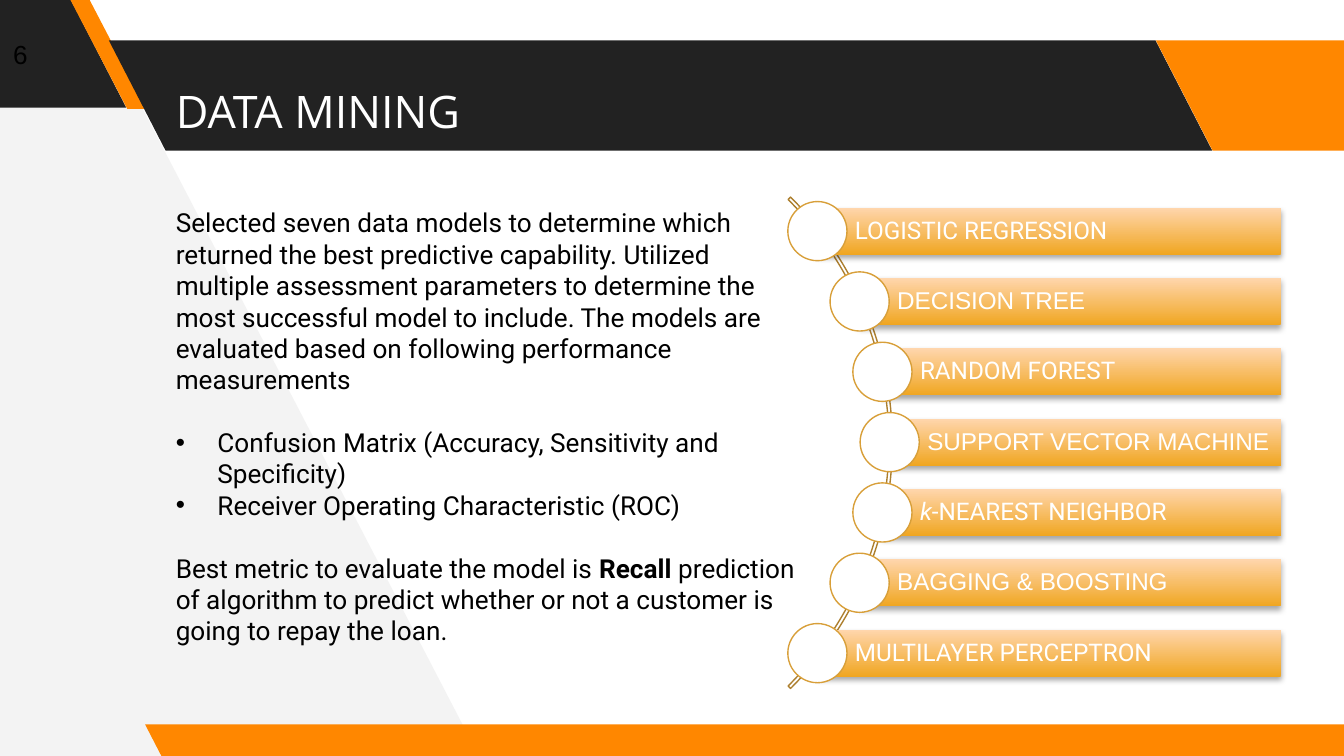
import math
from dataclasses import dataclass

import pptx
import pptx.dml.color
import pptx.enum.shapes
import pptx.enum.text
import pptx.oxml
import pptx.oxml.ns
import pptx.util

Inches = pptx.util.Inches
Pt = pptx.util.Pt
SHAPE = pptx.enum.shapes.MSO_SHAPE
ANCHOR = pptx.enum.text.MSO_ANCHOR

COLORS = {
    "white": "FFFFFF", "black": "000000", "dark": "222222", "orange": "FF8700",
    "pale": "F3F3F3", "bar_low": "F0A621", "bar_high": "FFD6AD",
    "ring": "D89F39", "arc": "AD7F2E",
}
NS = 'xmlns:a="http://schemas.openxmlformats.org/drawingml/2006/main"'
SHADOW = (f'<a:effectLst {NS}><a:outerShdw blurRad="39370" dist="22860" dir="5400000" '
          'rotWithShape="0"><a:srgbClr val="000000"><a:alpha val="35000"/></a:srgbClr>'
          '</a:outerShdw></a:effectLst>')


@dataclass
class Band:
    """A slanted band of the frame."""
    left: float
    top: float
    width: float
    height: float
    slant: float
    color: str


@dataclass
class Model:
    """A data model in the curved list; prefix is set in italics."""
    name: str
    font: str
    prefix: str = ""


BANDS = [
    Band(-0.99, -0.02, 1.93, 0.82, 0.515, "dark"),
    Band(0.52, -0.01, 0.57, 0.82, 0.75, "orange"),
    Band(0.81, 0.3, 8.21, 0.82, 0.515, "dark"),
    Band(8.6, 0.3, 1.92, 0.82, 0.515, "orange"),
    Band(1.08, 5.39, 9.15, 0.25, 0.515, "orange"),
]
MODELS = [
    Model("LOGISTIC REGRESSION", "Roboto"),
    Model("DECISION TREE", "Arial"),
    Model("RANDOM FOREST", "Roboto"),
    Model("SUPPORT VECTOR MACHINE", "Arial"),
    Model("-NEAREST NEIGHBOR", "Roboto", prefix="k"),
    Model("BAGGING & BOOSTING", "Arial"),
    Model("MULTILAYER PERCEPTRON", "Roboto"),
]
ARC_X, ARC_Y, ARC_R = 4.06, 3.29, 2.56
PITCH, BAR_H, BAR_RIGHT, DOT = 3.14 / 6, 0.35, 9.53, 0.44


def rgb(name: str) -> pptx.dml.color.RGBColor:
    """Return a named colour."""
    return pptx.dml.color.RGBColor.from_string(COLORS[name])


def paint(sp, fill: str = "", line: str = "") -> None:
    """Set the fill and outline of a shape."""
    if fill:
        sp.fill.solid()
        sp.fill.fore_color.rgb = rgb(fill)
    else:
        sp.fill.background()
    if line:
        sp.line.color.rgb = rgb(line)
        sp.line.width = Pt(0.75)
    else:
        sp.line.fill.background()


def add_shape(slide, kind, left: float, top: float, width: float, height: float,
              fill: str = "", line: str = ""):
    """Add a preset shape without shadow; an empty colour means none."""
    sp = slide.shapes.add_shape(kind, Inches(left), Inches(top), Inches(width), Inches(height))
    sp.shadow.inherit = False
    paint(sp, fill, line)
    return sp


def add_run(p, text: str, *, size: float = 14, font: str = "Roboto", color: str = "black",
            bold: bool = False, italic: bool = False) -> None:
    """Append formatted text to a paragraph."""
    r = p.add_run()
    r.text = text
    r.font.size = Pt(size)
    r.font.name = font
    r.font.bold = bold
    r.font.italic = italic
    r.font.color.rgb = rgb(color)


def set_frame(tf, anchor, left: float = 0.1, other: float = 0.05, right: float = 0.1) -> None:
    """Set wrapping, anchor and insets of a text frame."""
    tf.word_wrap = True
    tf.vertical_anchor = anchor
    tf.margin_left, tf.margin_right = Inches(left), Inches(right)
    tf.margin_top = tf.margin_bottom = Inches(other)


def add_text(slide, left: float, top: float, width: float, height: float, anchor,
             inset: float = 0.05):
    """Add an empty text box and return its frame."""
    sp = slide.shapes.add_textbox(Inches(left), Inches(top), Inches(width), Inches(height))
    set_frame(sp.text_frame, anchor, other=inset)
    return sp.text_frame


def make_bullet(p) -> None:
    """Give a paragraph a hanging bullet."""
    pPr = p._p.get_or_add_pPr()
    pPr.set("marL", str(Inches(0.31)))
    pPr.set("indent", str(-Inches(0.31)))
    pPr.append(pptx.oxml.parse_xml(f'<a:buFont {NS} typeface="Arial"/>'))
    pPr.append(pptx.oxml.parse_xml(f'<a:buChar {NS} char="•"/>'))


def draw_frame(slide) -> None:
    """Draw the pale wedge and the slanted bands."""
    fb = slide.shapes.build_freeform(Inches(3.56), Inches(5.62), scale=1.0)
    corners = [(0.62, -0.04), (-0.06, -0.04), (-0.02, 5.66)]
    fb.add_line_segments([(Inches(x), Inches(y)) for x, y in corners], close=True)
    wedge = fb.convert_to_shape()
    wedge.shadow.inherit = False
    paint(wedge, "pale")
    for b in BANDS:
        sp = add_shape(slide, SHAPE.PARALLELOGRAM, b.left, b.top, b.width, b.height, b.color)
        sp.adjustments[0] = b.slant
        sp._element.spPr.xfrm.set("flipH", "1")


def draw_body(slide) -> None:
    """Write the explanation with its bullets."""
    tf = add_text(slide, 1.21, 1.49, 4.93, 3.4, ANCHOR.TOP)
    paragraphs = [
        (["Selected seven data models to determine which returned the best predictive "
          "capability. Utilized "], False, 0),
        (["multiple assessment parameters to determine the most successful model to include. "
          "The models are evaluated based on following performance measurements"], False, 0),
        (["Confusion Matrix (Accuracy, Sensitivity and Specificity)"], True, 16.8),
        (["Receiver Operating Characteristic (ROC)"], True, 0),
        (["Best metric to evaluate the model is ", "Recall ",
          "prediction of algorithm to predict whether or not a customer is going to repay "
          "the loan."], False, 16.8),
    ]
    for i, (texts, bullet, gap) in enumerate(paragraphs):
        p = tf.add_paragraph() if i else tf.paragraphs[0]
        p.space_before = Pt(gap)
        if bullet:
            make_bullet(p)
        for text in texts:
            add_run(p, text, bold=text == "Recall ")


def draw_model(slide, model: Model, offset: float) -> None:
    """Draw one bar and its circle, offset vertically from the arc centre."""
    x = ARC_X + math.sqrt(ARC_R ** 2 - offset ** 2)
    y = ARC_Y + offset
    bar = add_shape(slide, SHAPE.RECTANGLE, x, y - BAR_H / 2, BAR_RIGHT - x, BAR_H)
    bar.fill.gradient()
    bar.fill.gradient_angle = 90
    for stop, color in zip(bar.fill.gradient_stops, ("bar_low", "bar_high")):
        stop.color.rgb = rgb(color)
    spPr = bar._element.spPr
    spPr.remove(spPr.find(pptx.oxml.ns.qn("a:effectLst")))
    spPr.append(pptx.oxml.parse_xml(SHADOW))
    set_frame(bar.text_frame, ANCHOR.MIDDLE, left=0.28, other=0.04, right=0.04)
    p = bar.text_frame.paragraphs[0]
    p.alignment = pptx.enum.text.PP_ALIGN.LEFT
    p.line_spacing = 0.9
    if model.prefix:
        add_run(p, model.prefix, size=13, font=model.font, color="white", italic=True)
    add_run(p, model.name, size=13, font=model.font, color="white")
    add_shape(slide, SHAPE.OVAL, x - DOT / 2, y - DOT / 2, DOT, DOT, "white", "ring")


def main() -> None:
    """Build and save the slide."""
    prs = pptx.Presentation()
    prs.slide_width = Inches(10)
    prs.slide_height = prs.slide_width * 9 // 16
    slide = prs.slides.add_slide(prs.slide_layouts[6])
    draw_frame(slide)
    number = add_text(slide, 0, 0.19, 0.6, 0.42, ANCHOR.MIDDLE)
    add_run(number.paragraphs[0], "6", font="Arial")
    title = add_text(slide, 1.21, 0.3, 7.35, 0.82, ANCHOR.BOTTOM, inset=0.1)
    add_run(title.paragraphs[0], "DATA MINING", size=24, font="Open Sans", color="white")
    draw_body(slide)
    arc = add_shape(slide, SHAPE.BLOCK_ARC, 1.47, 0.71, 5.17, 5.17, line="arc")
    for i, value in enumerate((189, 27, 0.005)):
        arc.adjustments[i] = value
    for i, model in enumerate(MODELS):
        draw_model(slide, model, (i - (len(MODELS) - 1) / 2) * PITCH)
    prs.save("out.pptx")


main()
